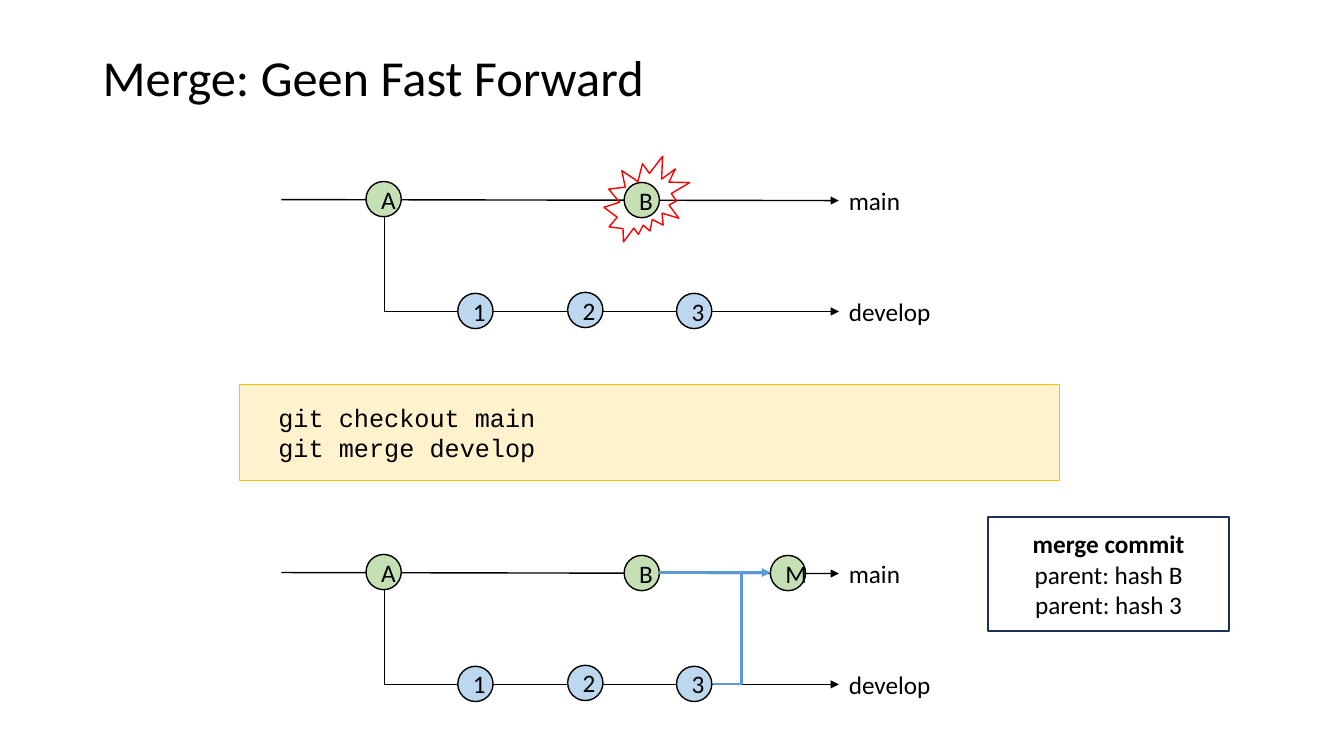
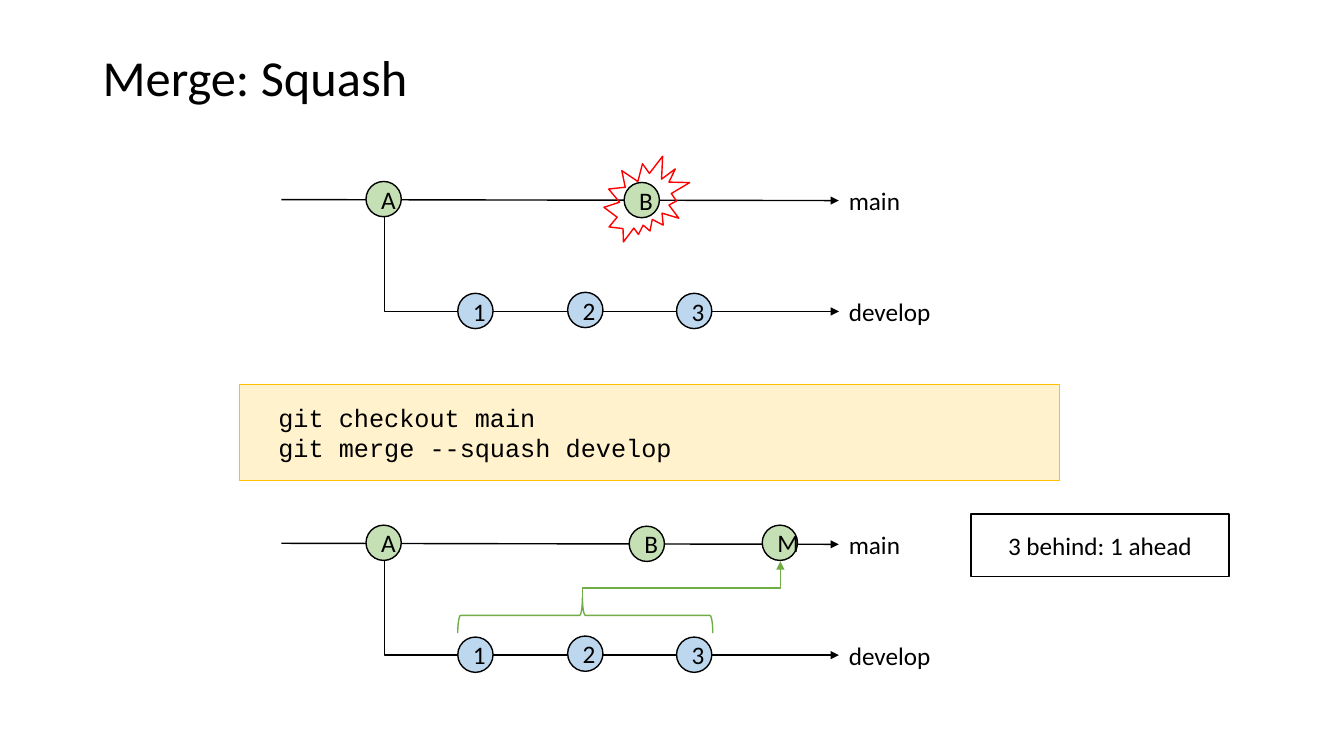
from lxml.etree import SubElement
from pptx import Presentation
from pptx.dml.color import RGBColor
from pptx.enum.shapes import MSO_CONNECTOR as LINK, MSO_SHAPE as SHAPE
from pptx.enum.text import MSO_ANCHOR as ANCHOR, PP_ALIGN as ALIGN
from pptx.oxml.ns import qn
from pptx.util import Pt

SCALE = 9144  # EMU in one px, 100 px to the inch
WIDE, HIGH = 1333, 750

BLACK = RGBColor(0x00, 0x00, 0x00)
WHITE = RGBColor(0xFF, 0xFF, 0xFF)
GREEN = RGBColor(0xC5, 0xE0, 0xB4)
LEAF = RGBColor(0x70, 0xAD, 0x47)
PALE = RGBColor(0xBD, 0xD7, 0xEE)
BLUE = RGBColor(0x5B, 0x9B, 0xD5)
CREAM = RGBColor(0xFF, 0xF2, 0xCC)
GOLD = RGBColor(0xFF, 0xC0, 0x00)
RED = RGBColor(0xFF, 0x00, 0x00)
NAVY = RGBColor(0x1E, 0x32, 0x56)

BODY, CODE = "Calibri", "Courier New"
DOT = 35

# Tree parts, placed for the upper tree
STEPS = [("1", 454, 291), ("2", 563, 290), ("3", 671, 291)]
LABELS = [("main", 179, 108), ("develop", 289, 219)]

SLIDES = [
    {
        "title": "Merge: Geen Fast Forward",
        "code": ["git checkout main", "git merge develop"],
        "drop": 370,
        "dots": [("B", 619, 551), ("M", 764, 551)],
        "note": [("merge commit", True), ("parent: hash B", False),
                 ("parent: hash 3", False)],
        "box": (980, 513, 239, 113), "fill": None, "edge": NAVY,
    },
    {
        "title": "Merge: Squash",
        "code": ["git checkout main", "git merge --squash develop"],
        "drop": 341,
        "dots": [("B", 624, 522), ("M", 756, 521)],
        "note": [("3 behind: 1 ahead", False)],
        "box": (963, 510, 256, 62), "fill": WHITE, "edge": BLACK,
    },
]


def px(*vals):
    return [round(v * SCALE) for v in vals]


def write(shape, lines, size=18, font=BODY, align=ALIGN.LEFT, anchor=ANCHOR.MIDDLE):
    """Fill a shape with (text, bold) lines."""
    frame = shape.text_frame
    frame.word_wrap = True
    frame.vertical_anchor = anchor
    for i, (text, bold) in enumerate(lines):
        para = frame.add_paragraph() if i else frame.paragraphs[0]
        para.alignment = align
        run = para.add_run()
        run.text = text
        run.font.name, run.font.size, run.font.bold = font, Pt(size), bold
        run.font.color.rgb = BLACK
    return frame


def label(slide, text, box, **style):
    return write(slide.shapes.add_textbox(*px(*box)), [(text, False)], **style)


def draw(slide, kind, box, fill=None, edge=BLACK, width=1):
    shape = slide.shapes.add_shape(kind, *px(*box))
    shape.shadow.inherit = False
    if fill is None:
        shape.fill.background()
    else:
        shape.fill.solid()
        shape.fill.fore_color.rgb = fill
    shape.line.color.rgb, shape.line.width = edge, Pt(width)
    return shape


def dot(slide, text, x, y, fill=GREEN):
    shape = draw(slide, SHAPE.OVAL, (x, y, DOT, DOT), fill)
    write(shape, [(text, False)], align=ALIGN.CENTER)


def arrow(slide, start, end, color=BLACK, width=1, kind=LINK.STRAIGHT):
    link = slide.shapes.add_connector(kind, *px(*start, *end))
    link.line.color.rgb, link.line.width = color, Pt(width)
    props = link.element.spPr
    SubElement(props.find(qn("a:ln")), qn("a:tailEnd"), type="triangle")
    SubElement(props, qn("a:effectLst"))
    return props


def bend(slide, start, end, turn, preset, color=BLACK, adj=None):
    """Elbow arrow that leaves vertically: drawn level, then turned 90 or 270."""
    (x1, y1), (x2, y2) = start, end
    mx, my = (x1 + x2) / 2, (y1 + y2) / 2
    sign = 1 if turn == 90 else -1
    dx, dy = sign * (y1 - my), sign * (mx - x1)
    props = arrow(slide, (mx + dx, my + dy), (mx - dx, my - dy), color, kind=LINK.ELBOW)
    props.find(qn("a:xfrm")).set("rot", str(turn * 60000))
    geom = props.find(qn("a:prstGeom"))
    geom.set("prst", preset)
    if adj is not None:
        SubElement(geom.find(qn("a:avLst")), qn("a:gd"), name="adj1", fmla=f"val {adj}")


def tree(slide, drop=0):
    arrow(slide, (279, 198 + drop), (832, 199 + drop))
    for text, y, width in LABELS:
        label(slide, text, (832, y + drop, width, 40), anchor=ANCHOR.TOP)
    dot(slide, "A", 363, 180 + drop)
    bend(slide, (381, 215 + drop), (832, 309 + drop), 270, "bentConnector2")
    for text, x, y in STEPS:
        dot(slide, text, x, y + drop, PALE)


def common(slide, data):
    """Everything both slides share."""
    frame = label(slide, data["title"], (92, 40, 1150, 79), size=36)
    frame.paragraphs[0].line_spacing = 0.9
    tree(slide)
    code = draw(slide, SHAPE.RECTANGLE, (237, 381, 814, 96), CREAM, GOLD, 0.5)
    frame = write(code, [(text, False) for text in data["code"]], font=CODE)
    frame.margin_left = frame.margin_right = px(39)[0]
    frame.margin_top = frame.margin_bottom = px(8)[0]
    dot(slide, "B", 619, 181)
    draw(slide, SHAPE.EXPLOSION2, (599, 155, 85, 85), edge=RED)
    tree(slide, data["drop"])
    for spot in data["dots"]:
        dot(slide, *spot)
    note = draw(slide, SHAPE.RECTANGLE, data["box"], data["fill"], data["edge"])
    write(note, data["note"], align=ALIGN.CENTER)


def join(slide):
    """Both parents lead to the merge commit."""
    arrow(slide, (707, 679), (764, 568), BLUE, 1.5, LINK.ELBOW)
    arrow(slide, (654, 568), (764, 568), BLUE, 1.5)


def squash(slide):
    """A brace gathers the steps into one commit."""
    brace = draw(slide, SHAPE.RIGHT_BRACE, (563, 484, 35, 253), edge=LEAF)
    brace.rotation = 270
    brace.adjustments[0], brace.adjustments[1] = 0.083, 0.489
    bend(slide, (578, 593), (774, 557), 90, "bentConnector3", LEAF, 26200)


def main():
    deck = Presentation()
    deck.slide_width, deck.slide_height = px(WIDE, HIGH)
    for data, extra in zip(SLIDES, (join, squash)):
        slide = deck.slides.add_slide(deck.slide_layouts[6])
        common(slide, data)
        extra(slide)
    deck.save("out.pptx")


if __name__ == "__main__":
    main()
